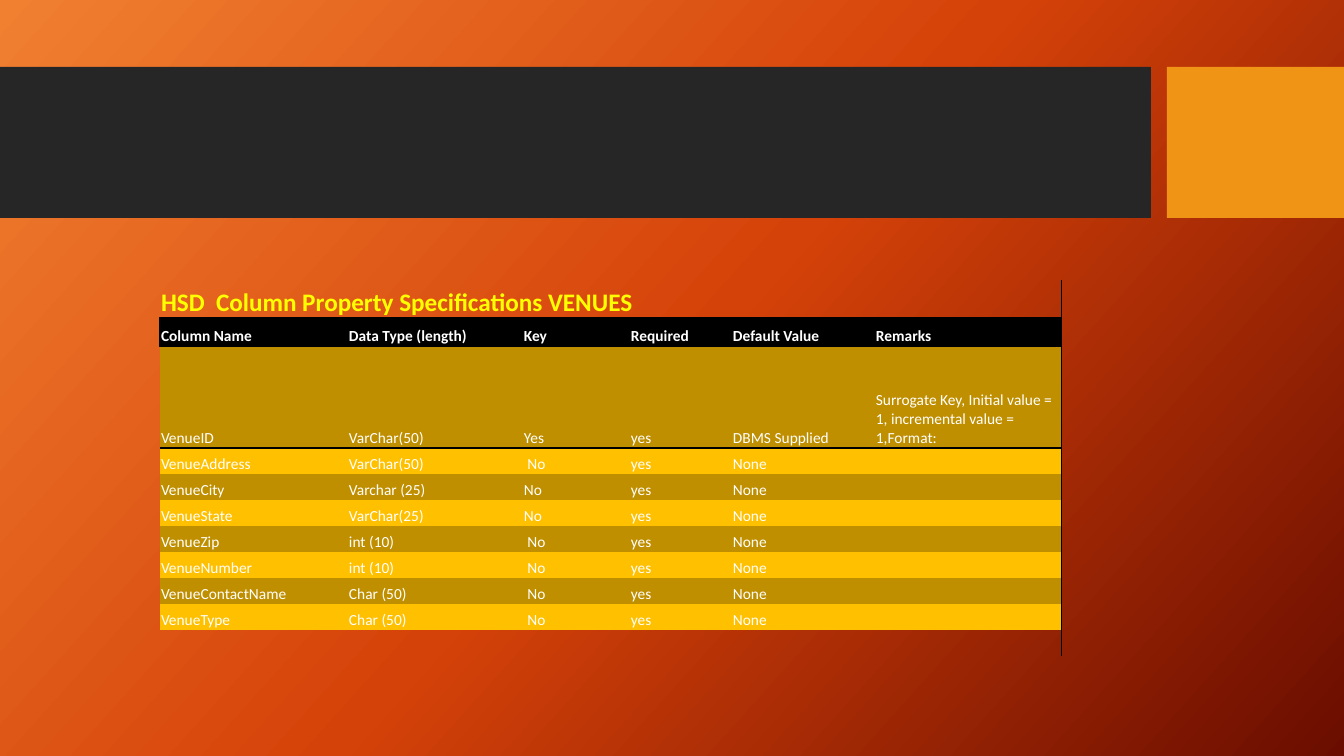
import copy

import lxml.etree
import pptx
import pptx.dml.color
import pptx.enum.shapes
import pptx.enum.text
import pptx.oxml.ns
import pptx.util

TITLE = "HSD  Column Property Specifications VENUES"
HEADER = ("Column Name", "Data Type (length)", "Key", "Required", "Default Value", "Remarks")
COLUMNS = [
    ("VenueID", "VarChar(50)", "Yes", "yes", "DBMS Supplied",
     "Surrogate Key, Initial value = 1, incremental value = 1,Format:"),
    ("VenueAddress", "VarChar(50)", " No", "yes", "None", ""),
    ("VenueCity", "Varchar (25)", "No", "yes", "None", ""),
    ("VenueState", "VarChar(25)", "No", "yes", "None", ""),
    ("VenueZip", "int (10)", " No", "yes", "None", ""),
    ("VenueNumber", "int (10)", " No", "yes", "None", ""),
    ("VenueContactName", "Char (50)", " No", "yes", "None", ""),
    ("VenueType", "Char (50)", " No", "yes", "None", ""),
]
EMPTY = ("",) * len(HEADER)
ROWS = [(TITLE,) + EMPTY[1:], HEADER, *COLUMNS, EMPTY]

THEME = {
    "font": "Calibri", "title_size": 18, "text_size": 11,
    "title": "FFFF00", "text": "FFFFFF", "line": "000000", "header": "000000",
    "bands": ("BF8F00", "FFC000"),
    "background": ((0, "F18031"), (0.5, "D54209"), (1, "6A0D00")), "angle": 42,
    "banner": "262626", "accent": "F09415",
}

WIDTH, HEIGHT = 1344, 756
BANNER_TOP, BANNER_HEIGHT = 67, 151
BANNERS = [(0, 1151, THEME["banner"]), (1167, WIDTH - 1167, THEME["accent"])]
TABLE_LEFT, TABLE_TOP = 160, 280
COL_WIDTHS = (188, 175, 107, 102, 143, 186)
ROW_HEIGHTS = (38, 28, 102) + (26,) * 8
NO_STYLE = "{2D5ABB26-0587-4C30-8999-92F81FD0307C}"
qn = pptx.oxml.ns.qn


def px(n):
    """Turn pixels into EMU."""
    return pptx.util.Emu(round(n * 914400 / 100.8))


def rgb(code):
    """Turn a hex code into a colour."""
    return pptx.dml.color.RGBColor.from_string(code)


def paint_background(slide):
    """Fill the slide with the three-stop gradient."""
    fill = slide.background.fill
    fill.gradient()
    fill.gradient_angle = 360 - THEME["angle"]
    stops = next(slide._element.iter(qn("a:gsLst")))
    stops.append(copy.deepcopy(stops[0]))
    for stop, (position, color) in zip(fill.gradient_stops, THEME["background"]):
        stop.position = position
        stop.color.rgb = rgb(color)


def add_banner(slide, left, width, color):
    """Add one plain block of the banner."""
    sp = slide.shapes.add_shape(pptx.enum.shapes.MSO_SHAPE.RECTANGLE,
                                px(left), px(BANNER_TOP), px(width), px(BANNER_HEIGHT))
    sp.shadow.inherit = False
    sp.fill.solid()
    sp.fill.fore_color.rgb = rgb(color)
    sp.line.fill.background()


def add_border(cell, side, points):
    """Draw one side of a cell."""
    tcPr = cell._tc.get_or_add_tcPr()
    ln = lxml.etree.SubElement(tcPr, qn("a:ln" + side), w=str(int(points * 12700)))
    fill = lxml.etree.SubElement(ln, qn("a:solidFill"))
    lxml.etree.SubElement(fill, qn("a:srgbClr"), val=THEME["line"])


def borders(row, col):
    """List the sides and line widths that a cell shows, in schema order."""
    sides = []
    if row == 1:
        sides.append(("L", 0.5 if col else 1))
    if row <= 1 or col == len(HEADER) - 1:
        sides.append(("R", 0.5))
    if row in (1, 2):
        sides.append(("T", 1))
    if row <= 1:
        sides.append(("B", 1))
    return sides


def row_fill(row):
    """Return the fill of a row, or None for the title and the last row."""
    if row in (0, len(ROWS) - 1):
        return None
    return THEME["header"] if row == 1 else THEME["bands"][row % 2]


def write_cell(cell, text, row):
    """Set margins, anchor and text of a cell."""
    fmt = {"margin_left": px(1), "margin_right": px(1), "margin_top": px(1),
           "margin_bottom": 0, "vertical_anchor": pptx.enum.text.MSO_ANCHOR.BOTTOM}
    for name, value in fmt.items():
        setattr(cell, name, value)
    size = THEME["text_size"] if row else THEME["title_size"]
    p = cell.text_frame.paragraphs[0]
    if not text:
        lxml.etree.SubElement(p._p, qn("a:endParaRPr"), sz=str(THEME["text_size"] * 100))
        return
    r = p.add_run()
    r.text = text
    fmt = {"name": THEME["font"], "size": pptx.util.Pt(size), "bold": row <= 1}
    for name, value in fmt.items():
        setattr(r.font, name, value)
    r.font.color.rgb = rgb(THEME["text"] if row else THEME["title"])


def add_venues_table(slide):
    """Add the table of column properties."""
    frame = slide.shapes.add_table(len(ROWS), len(HEADER), px(TABLE_LEFT), px(TABLE_TOP),
                                   px(sum(COL_WIDTHS)), px(sum(ROW_HEIGHTS)))
    table = frame.table
    table.first_row = table.horz_banding = False
    next(frame._element.iter(qn("a:tableStyleId"))).text = NO_STYLE
    for column, width in zip(table.columns, COL_WIDTHS):
        column.width = px(width)
    for line, height in zip(table.rows, ROW_HEIGHTS):
        line.height = px(height)
    for row, texts in enumerate(ROWS):
        color = row_fill(row)
        for col, text in enumerate(texts):
            cell = table.cell(row, col)
            write_cell(cell, text, row)
            for side, points in borders(row, col):
                add_border(cell, side, points)
            if color:
                cell.fill.solid()
                cell.fill.fore_color.rgb = rgb(color)
            else:
                cell.fill.background()
    table.cell(0, 0).merge(table.cell(0, len(HEADER) - 1))


prs = pptx.Presentation()
prs.slide_width, prs.slide_height = px(WIDTH), px(HEIGHT)
slide = prs.slides.add_slide(prs.slide_layouts[6])
paint_background(slide)
for banner in BANNERS:
    add_banner(slide, *banner)
add_venues_table(slide)
prs.save("out.pptx")
